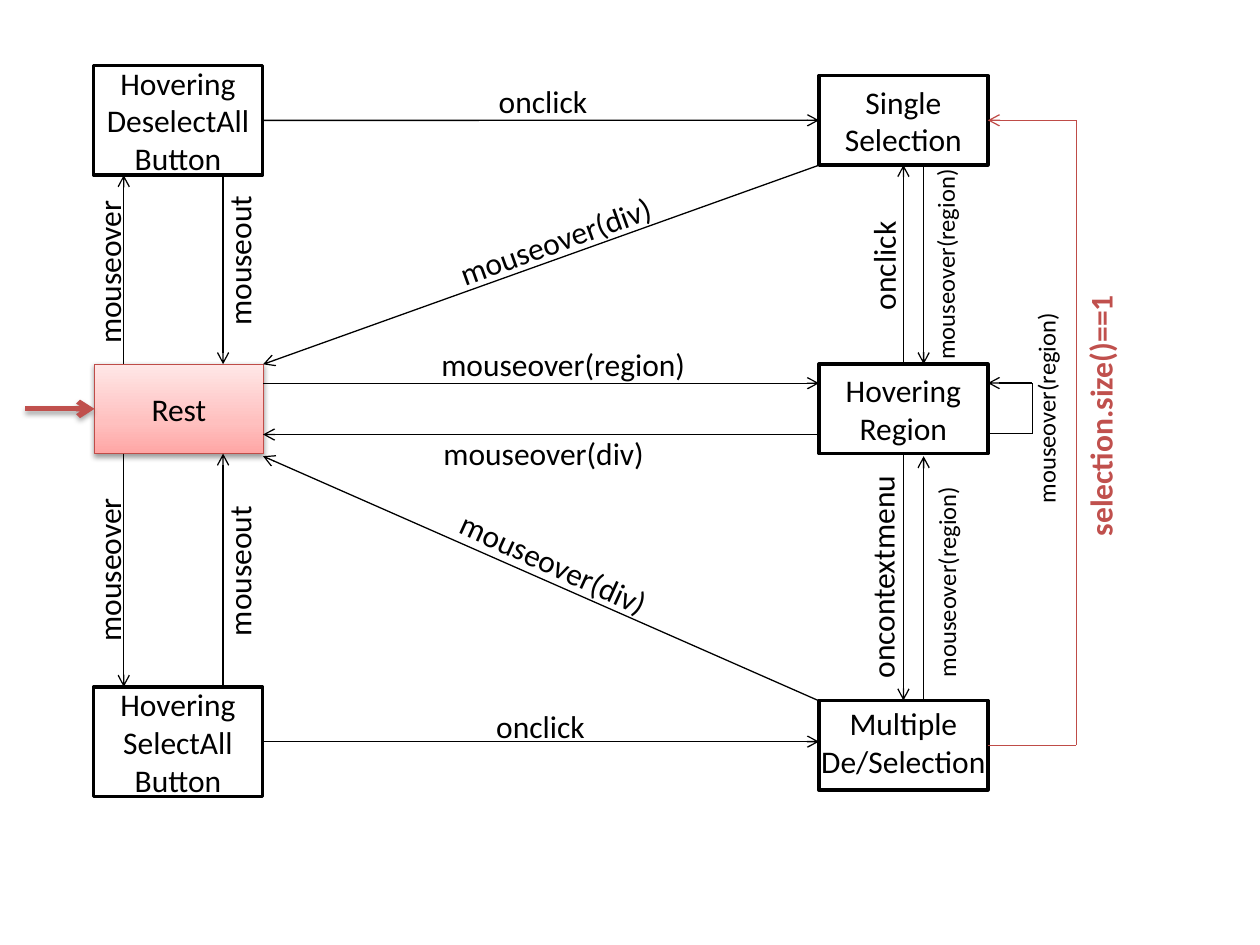
import lxml.etree
import pptx
import pptx.dml.color
import pptx.enum.shapes
import pptx.enum.text
import pptx.oxml.ns
import pptx.util

Pt = pptx.util.Pt
qn = pptx.oxml.ns.qn
BLACK, WHITE, RED, DARK_RED = "000000", "FFFFFF", "C0504D", "BF4C48"
TOP, LEFT, BOTTOM, RIGHT = range(4)
STATE_WIDTH, STATE_HEIGHT, BUTTON_HEIGHT = 96.5, 51.1, 62.6


def color(value):
    """Turn a hex string into a colour."""
    return pptx.dml.color.RGBColor.from_string(value)


def add_element(parent, tag, **attributes):
    """Append a drawing element with the given attributes."""
    element = lxml.etree.SubElement(parent, qn(tag))
    for name, value in attributes.items():
        element.set(name, str(value))
    return element


def add_shadow(shape, blur, distance, alpha):
    """Give a shape or connector a black shadow that falls downwards."""
    properties = shape.element.spPr
    effects = properties.find(qn("a:effectLst"))
    if effects is None:
        effects = add_element(properties, "a:effectLst")
    shadow = add_element(effects, "a:outerShdw", blurRad=Pt(blur), dist=Pt(distance),
                         dir=5400000, rotWithShape=0)
    add_element(add_element(shadow, "a:srgbClr", val=BLACK), "a:alpha", val=alpha * 1000)


def write_text(shape, lines, size=18, hex_color=BLACK, bold=False):
    """Write centred paragraphs into a wrapping text frame."""
    frame = shape.text_frame
    frame.word_wrap = True
    frame.vertical_anchor = pptx.enum.text.MSO_ANCHOR.MIDDLE
    for index, line in enumerate(lines):
        paragraph = frame.paragraphs[0] if index == 0 else frame.add_paragraph()
        paragraph.alignment = pptx.enum.text.PP_ALIGN.CENTER
        run = paragraph.add_run()
        run.text = line
        run.font.name = "Calibri"
        run.font.size = Pt(size)
        run.font.bold = bold
        run.font.color.rgb = color(hex_color)


def add_state(slide, left, top, height, lines):
    """Add a white state box with its name."""
    state = slide.shapes.add_shape(pptx.enum.shapes.MSO_SHAPE.RECTANGLE,
                                   Pt(left), Pt(top), Pt(STATE_WIDTH), Pt(height))
    state.shadow.inherit = False
    state.fill.solid()
    state.fill.fore_color.rgb = color(WHITE)
    state.line.color.rgb = color(BLACK)
    state.line.width = Pt(2)
    frame = state.text_frame
    frame.margin_left = frame.margin_right = frame.margin_top = frame.margin_bottom = 0
    write_text(state, lines)
    return state


def highlight_state(state):
    """Mark the initial state with a red gradient and a shadow."""
    state.fill.gradient()
    state.fill.gradient_angle = 90
    stops = state.element.spPr.find(qn("a:gradFill")).find(qn("a:gsLst"))
    for stop in list(stops):
        stops.remove(stop)
    for position, value in ((0, "FFA6A5"), (35, "FFC0BF"), (100, "FFE7E7")):
        add_element(add_element(stops, "a:gs", pos=position * 1000), "a:srgbClr", val=value)
    state.line.color.rgb = color(DARK_RED)
    state.line.width = Pt(0.75)
    add_shadow(state, 3.1, 1.6, 38)


def add_line(slide, start, end, source=None, target=None, hex_color=BLACK, width=0.75, arrow=True):
    """Add a straight transition, joined to (state, side) pairs where given."""
    line = slide.shapes.add_connector(pptx.enum.shapes.MSO_CONNECTOR.STRAIGHT,
                                      *(Pt(value) for value in (*start, *end)))
    if source:
        line.begin_connect(*source)
    if target:
        line.end_connect(*target)
    line.line.color.rgb = color(hex_color)
    line.line.width = Pt(width)
    if arrow:
        add_element(line.line._get_or_add_ln(), "a:tailEnd", type="arrow")
    add_element(line.element.spPr, "a:effectLst")
    return line


def add_label(slide, center_x, center_y, text, width=105, rotation=0, size=18,
              hex_color=BLACK, bold=False):
    """Add a transition label turned about its centre."""
    height = 29 if size == 18 else 24.5
    label = slide.shapes.add_textbox(Pt(center_x - width / 2), Pt(center_y - height / 2),
                                     Pt(width), Pt(height))
    label.rotation = rotation
    write_text(label, [text], size, hex_color, bold)


def build_button_states(slide, left, top):
    """Build the left column: the initial state between the two button states."""
    rest_top, select_top = top + 170.6, top + 355
    rest_bottom = rest_top + STATE_HEIGHT
    deselect = add_state(slide, left, top, BUTTON_HEIGHT, ["Hovering", "DeselectAll Button"])
    select = add_state(slide, left, select_top, BUTTON_HEIGHT, ["Hovering", "SelectAll Button"])
    rest = add_state(slide, left + 0.5, rest_top, STATE_HEIGHT, ["Rest"])
    highlight_state(rest)
    entry_y = rest_top + STATE_HEIGHT / 2
    entry = add_line(slide, (left - 39, entry_y), (left, entry_y),
                     target=(rest, LEFT), hex_color=RED, width=3)
    add_shadow(entry, 3.1, 1.8, 35)
    over_x, out_x = left + 17.2, left + 74
    add_line(slide, (over_x, rest_top), (over_x, top + BUTTON_HEIGHT))
    add_line(slide, (out_x, top + BUTTON_HEIGHT), (out_x, rest_top))
    add_line(slide, (over_x, rest_bottom), (over_x, select_top))
    add_line(slide, (out_x, select_top), (out_x, rest_bottom))
    for over_y, out_y in ((118, 111.5), (288, 288.8)):
        add_label(slide, left + 8.6, top + over_y, "mouseover", rotation=270)
        add_label(slide, left + 83, top + out_y, "mouseout", rotation=270)
    return deselect, select


def build_selection_states(slide, left, top):
    """Build the right column: the region state between the two selection states."""
    region_top, multiple_top = top + 164.9, top + 357.1
    region_bottom = region_top + STATE_HEIGHT
    center_x, back_x, right = left + STATE_WIDTH / 2, left + 59.8, left + STATE_WIDTH
    single = add_state(slide, left, top, STATE_HEIGHT, ["Single Selection"])
    region = add_state(slide, left, region_top, STATE_HEIGHT, ["Hovering", "Region"])
    multiple = add_state(slide, left, multiple_top, STATE_HEIGHT, ["Multiple De/Selection"])
    multiple.text_frame.margin_bottom = Pt(4)
    add_line(slide, (center_x, region_top), (center_x, top + STATE_HEIGHT),
             (region, TOP), (single, BOTTOM))
    add_line(slide, (center_x, region_bottom), (center_x, multiple_top),
             (region, BOTTOM), (multiple, TOP))
    add_line(slide, (back_x, top + STATE_HEIGHT), (back_x, region_top))
    add_line(slide, (back_x, multiple_top), (back_x, region_bottom + 1.5))
    add_label(slide, left + 36.7, top + 108.7, "onclick", rotation=270)
    add_label(slide, left + 36, top + 286.6, "oncontextmenu", 142.5, 270)

    loop_x, loop_top, loop_bottom = right + 25.5, region_top + 10.8, region_top + 39.8
    add_line(slide, (right, loop_bottom), (loop_x, loop_bottom), arrow=False)
    add_line(slide, (loop_x, loop_bottom), (loop_x, loop_top), arrow=False)
    add_line(slide, (loop_x, loop_top), (right, loop_top))
    for label_x, label_y in ((72, 108), (72.7, 289.4), (129.6, 190.1)):
        add_label(slide, left + label_x, top + label_y, "mouseover(region)", 170, 270, 14)

    return_x, single_y, multiple_y = right + 50.5, top + STATE_HEIGHT / 2, multiple_top + STATE_HEIGHT / 2
    add_line(slide, (right, multiple_y), (return_x, multiple_y), (multiple, RIGHT),
             hex_color=DARK_RED, arrow=False)
    add_line(slide, (return_x, multiple_y), (return_x, single_y), hex_color=DARK_RED, arrow=False)
    add_line(slide, (return_x, single_y), (right, single_y), target=(single, RIGHT), hex_color=DARK_RED)
    add_label(slide, left + 160.6, top + 194.4, "selection.size()==1", 207, 270, hex_color=RED, bold=True)
    return single, multiple


def build_cross_transitions(slide, left, top, width, deselect, select, single):
    """Build the transitions that run between the two columns."""
    right = left + width
    add_line(slide, (left, top), (right, top), (deselect, RIGHT), (single, LEFT))
    add_line(slide, (left, top + 355), (right, top + 355), (select, RIGHT))
    add_line(slide, (left, top + 150.2), (right, top + 150.2))
    add_line(slide, (right, top + 179.5), (left, top + 179.5))
    add_line(slide, (right, top + 25.6), (left, top + 139.4))
    add_line(slide, (right, top + 331.7), (left, top + 191.9))
    add_label(slide, left + 160, top - 11.2, "onclick")
    add_label(slide, left + 158.6, top + 345.9, "onclick")
    add_label(slide, left + 171.6, top + 139.3, "mouseover(region)", 170)
    add_label(slide, left + 160.4, top + 189.7, "mouseover(div)", 130)
    add_label(slide, left + 166.9, top + 68.7, "mouseover(div)", 143, 340.2)
    add_label(slide, left + 166.1, top + 253, "mouseover(div)", 140, 24.6)


def main():
    """Build the state diagram and save it."""
    presentation = pptx.Presentation()
    presentation.slide_width, presentation.slide_height = Pt(720), Pt(540)
    slide = presentation.slides.add_slide(presentation.slide_layouts[6])
    deselect, select = build_button_states(slide, 53.5, 37.5)
    single, multiple = build_selection_states(slide, 468, 43.2)
    build_cross_transitions(slide, 150.3, 68.8, 317.7, deselect, select, single)
    presentation.save("out.pptx")


if __name__ == "__main__":
    main()
